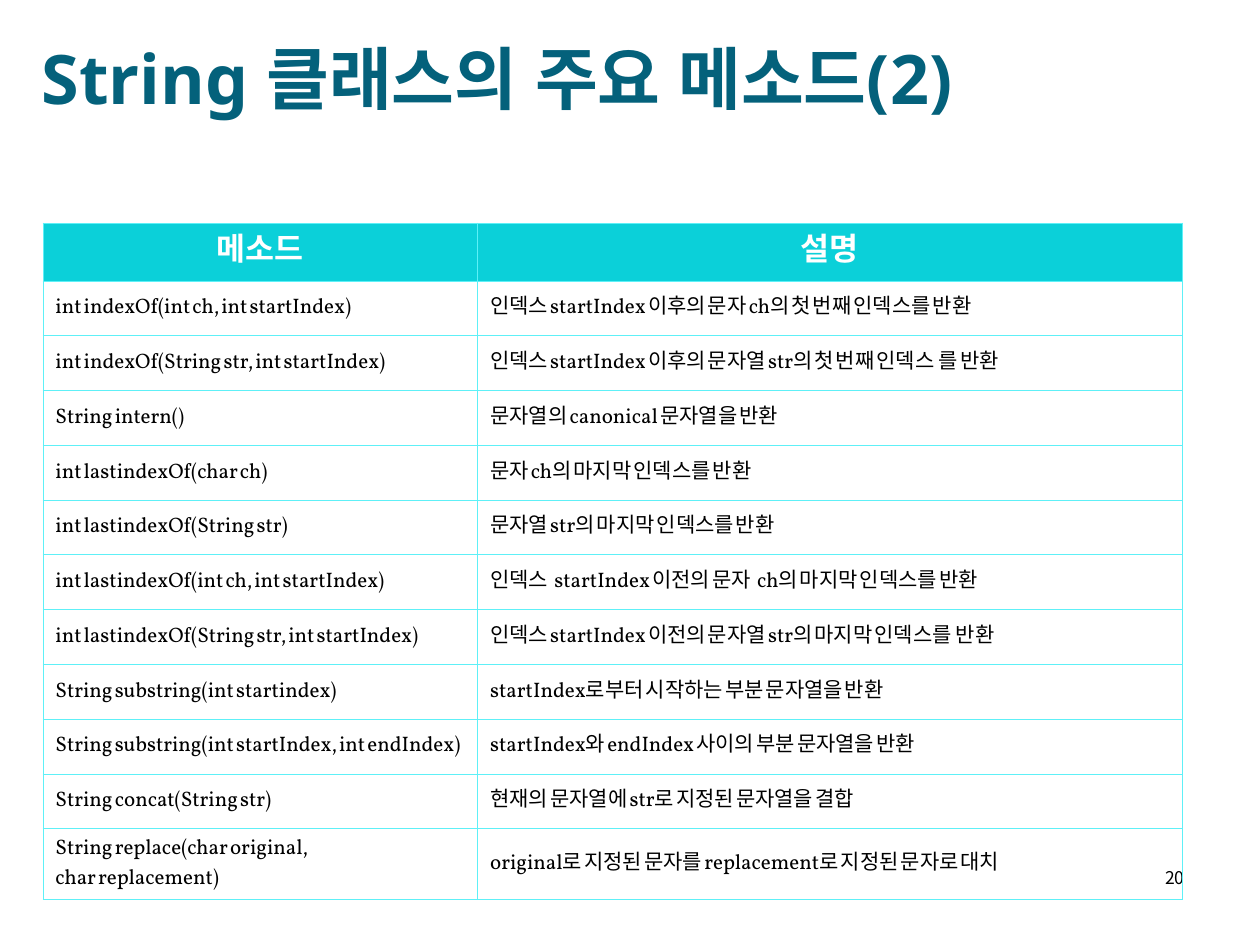
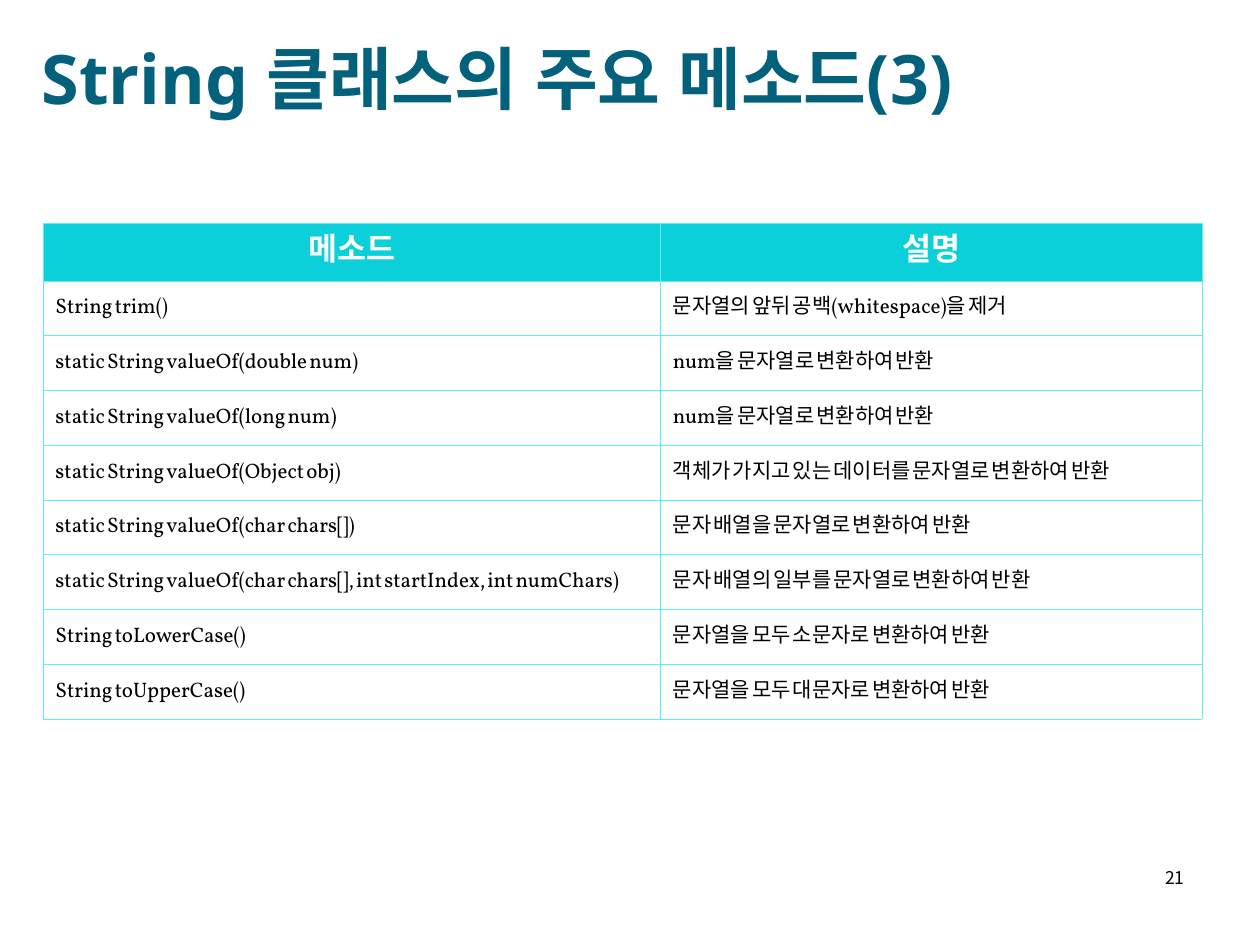
from dataclasses import dataclass

import pptx
import pptx.dml.color
import pptx.enum.text
import pptx.oxml
import pptx.oxml.ns
import pptx.util
from pptx.util import Inches

Align = pptx.enum.text.PP_ALIGN
Anchor = pptx.enum.text.MSO_ANCHOR


@dataclass(frozen=True)
class TextStyle:
    size: int
    font: str
    color: str
    bold: bool = False


class Theme:
    header_fill = "0BD0D9"
    border_color = "5EF0F7"
    border_width = pptx.util.Pt(0.45)
    title = TextStyle(39, "Noto Sans", "04617B", True)
    number = TextStyle(10, "Noto Sans CJK KR", "000000")
    header = TextStyle(18, "Vollkorn", "FFFFFF", True)
    body = TextStyle(12, "Vollkorn", "000000")


TITLE_BOX = (0.23, 0.21, 9.39, 0.73)
NUMBER_BOX = (7.17, 6.83, 2.33, 0.5)
TABLE_LEFT, TABLE_TOP = 0.34, 1.77
HEADER_HEIGHT = 0.46
LINE_HEIGHTS = {1: 0.435, 2: 0.56}
HEADINGS = ("메소드", "설명")

# Table text is set with thin spaces; "~" marks a space of full width.
TABLE_SPACES = str.maketrans({" ": chr(0x2009), "~": " "})

SEARCH_METHODS = [
    ("int indexOf(int ch, int startIndex)",
     "인덱스 startIndex 이후의 문자 ch의 첫 번째 인덱스를 반환"),
    ("int indexOf(String str, int startIndex)",
     "인덱스 startIndex 이후의 문자열 str의 첫 번째 인덱스~를 반환"),
    ("String intern()", "문자열의 canonical 문자열을 반환"),
    ("int lastindexOf(char ch)", "문자 ch의 마지막 인덱스를 반환"),
    ("int lastindexOf(String str)", "문자열 str의 마지막 인덱스를 반환"),
    ("int lastindexOf(int ch, int startIndex)",
     "인덱스 ~startIndex 이전의 문자 ~ch의 마지막 인덱스를 반환"),
    ("int lastindexOf(String str, int startIndex)",
     "인덱스 startIndex 이전의 문자열 str의 마지막 인덱스를~반환"),
    ("String substring(int startindex)",
     "startIndex로부터 시작하는 부분 문자열을 반환"),
    ("String substring(int startIndex, int endIndex)",
     "startIndex와 endIndex 사이의 부분 문자열을 반환"),
    ("String concat(String str)",
     "현재의 문자열에 str로 지정된 문자열을 결합"),
    ("String replace(char original, \nchar replacement)",
     "original로 지정된 문자를 replacement로 지정된 문자로 대치"),
]

CONVERSION_METHODS = [
    ("String trim()", "문자열의 앞뒤 공백(whitespace)을 제거"),
    ("static String valueOf(double num)", "num을 문자열로 변환하여 반환"),
    ("static String valueOf(long num)", "num을 문자열로 변환하여 반환"),
    ("static String valueOf(Object obj)",
     "객체가 가지고 있는 데이터를 문자열로 변환하여 반환"),
    ("static String valueOf(char chars[])",
     "문자 배열을 문자열로 변환하여 반환"),
    ("static String valueOf(char chars[], int startIndex, int numChars)",
     "문자 배열의 일부를 문자열로 변환하여 반환"),
    ("String toLowerCase()", "문자열을 모두 소문자로 변환하여 반환"),
    ("String toUpperCase()", "문자열을 모두 대문자로 변환하여 반환"),
]


def rgb(color):
    return pptx.dml.color.RGBColor.from_string(color)


def write_text(frame, text, style, align=Align.LEFT):
    """Fill a text frame with one paragraph for each line of text."""
    for index, line in enumerate(text.split("\n")):
        paragraph = frame.add_paragraph() if index else frame.paragraphs[0]
        paragraph.alignment = align
        run = paragraph.add_run()
        run.text = line
        run.font.size = pptx.util.Pt(style.size)
        run.font.bold = style.bold
        run.font.name = style.font
        run.font.color.rgb = rgb(style.color)
        east_asian = pptx.oxml.parse_xml(
            f'<a:ea {pptx.oxml.ns.nsdecls("a")} typeface="{style.font}"/>')
        run.font._element.find(pptx.oxml.ns.qn("a:latin")).addnext(east_asian)


def add_title(slide, text, box):
    title = slide.shapes.title
    title.left, title.top, title.width, title.height = map(Inches, box)
    frame = title.text_frame
    frame.auto_size = pptx.enum.text.MSO_AUTO_SIZE.NONE
    frame.vertical_anchor = Anchor.BOTTOM
    frame.margin_top = frame.margin_bottom = 0
    write_text(frame, text, Theme.title)


def add_page_number(slide, number, box):
    frame = slide.shapes.add_textbox(*map(Inches, box)).text_frame
    frame.word_wrap = True
    write_text(frame, str(number), Theme.number, Align.RIGHT)


def add_borders(cell):
    properties = cell._tc.get_or_add_tcPr()
    for side in "LRTB":
        properties.append(pptx.oxml.parse_xml(
            f'<a:ln{side} {pptx.oxml.ns.nsdecls("a")} w="{Theme.border_width}">'
            f'<a:solidFill><a:srgbClr val="{Theme.border_color}"/></a:solidFill>'
            f'</a:ln{side}>'))


def format_cell(cell, text, is_header):
    add_borders(cell)
    cell.vertical_anchor = Anchor.MIDDLE
    cell.margin_left = Inches(0.1)
    cell.margin_top = cell.margin_bottom = Inches(0.05)
    if is_header:
        cell.margin_right = Inches(0.1)
        cell.fill.solid()
        cell.fill.fore_color.rgb = rgb(Theme.header_fill)
        write_text(cell.text_frame, text, Theme.header, Align.CENTER)
    else:
        cell.margin_right = Inches(0.01)
        cell.fill.background()
        write_text(cell.text_frame, text.translate(TABLE_SPACES), Theme.body)


def add_method_table(slide, methods, column_widths):
    """Place the table; the number of lines in a row sets its height."""
    rows = [HEADINGS, *methods]
    heights = [HEADER_HEIGHT]
    heights += [LINE_HEIGHTS[method.count("\n") + 1] for method, _ in methods]
    box = (TABLE_LEFT, TABLE_TOP, sum(column_widths), sum(heights))
    table = slide.shapes.add_table(
        len(rows), len(HEADINGS), *map(Inches, box)).table
    table.first_row = table.horz_banding = False
    for column, width in zip(table.columns, column_widths):
        column.width = Inches(width)
    for row_index, (texts, height) in enumerate(zip(rows, heights)):
        table.rows[row_index].height = Inches(height)
        for column_index, text in enumerate(texts):
            format_cell(table.cell(row_index, column_index), text, row_index == 0)


def add_method_slide(presentation, part, page, methods, column_widths):
    slide = presentation.slides.add_slide(presentation.slide_layouts[5])
    add_title(slide, f"String 클래스의 주요 메소드({part})", TITLE_BOX)
    add_page_number(slide, page, NUMBER_BOX)
    add_method_table(slide, methods, column_widths)


def main():
    presentation = pptx.Presentation()
    presentation.slide_width = Inches(10)
    presentation.slide_height = Inches(7.5)
    add_method_slide(presentation, 2, 20, SEARCH_METHODS, (3.45, 5.59))
    add_method_slide(presentation, 3, 21, CONVERSION_METHODS, (4.9, 4.3))
    presentation.save("out.pptx")


if __name__ == "__main__":
    main()
